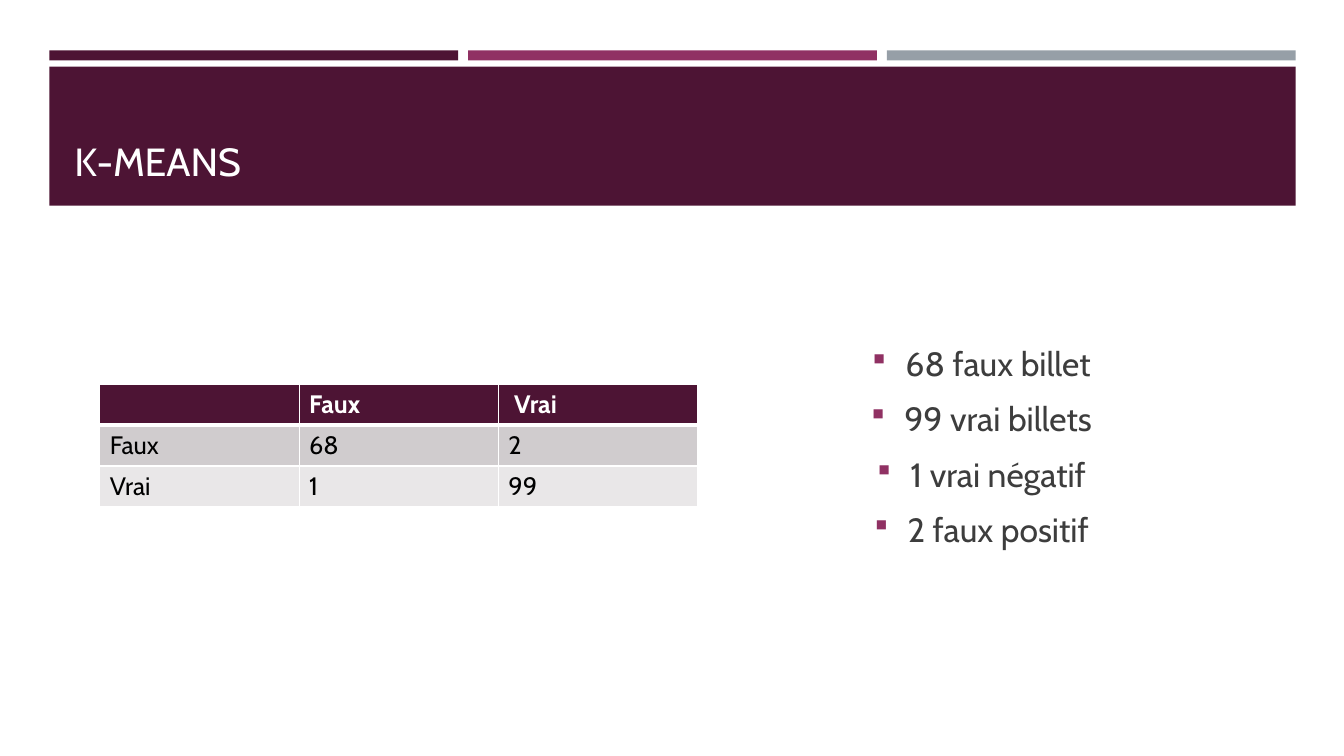
from lxml.etree import SubElement
from pptx import Presentation
from pptx.dml.color import RGBColor
from pptx.enum.shapes import MSO_SHAPE as Shape
from pptx.enum.text import MSO_ANCHOR as Anchor, PP_ALIGN as Align
from pptx.oxml.ns import qn
from pptx.util import Inches, Pt

PLUM = RGBColor(0x4D, 0x14, 0x34)
MAGENTA = RGBColor(0x90, 0x31, 0x63)
SLATE = RGBColor(0x96, 0x9F, 0xA7)
WHITE = RGBColor(0xFF, 0xFF, 0xFF)
BLACK = RGBColor(0, 0, 0)
CHARCOAL = RGBColor(0x3D, 0x3D, 0x3D)
ROW_FILLS = [PLUM, RGBColor(0xD0, 0xCC, 0xCE), RGBColor(0xE9, 0xE7, 0xE8)]
FONT = "Cabin"

CONFUSION = [["", "Faux", " Vrai"], ["Faux", "68", "2"], ["Vrai", "1", "99"]]
FINDINGS = ["68 faux billet", "99 vrai billets", "1 vrai négatif", "2 faux positif"]


def add_span(para, text, size, color, bold=False):
    span = para.add_run()
    span.text = text
    span.font.name = FONT
    span.font.size = Pt(size)
    span.font.bold = bold
    span.font.color.rgb = color


def add_bar(page, left, top, width, height, color):
    bar = page.shapes.add_shape(
        Shape.RECTANGLE, Inches(left), Inches(top), Inches(width), Inches(height))
    bar.shadow.inherit = False
    bar.fill.solid()
    bar.fill.fore_color.rgb = color
    bar.line.fill.background()


def add_text_box(page, left, top, width, height, anchor):
    box = page.shapes.add_textbox(
        Inches(left), Inches(top), Inches(width), Inches(height))
    frame = box.text_frame
    frame.word_wrap = True
    frame.vertical_anchor = anchor
    return frame


def add_header(page, left, top, width, height, title):
    gap, strip_height, band_top = 0.1, 0.1, 0.16
    strip_width = (width - 2 * gap) / 3
    for index, color in enumerate([PLUM, MAGENTA, SLATE]):
        add_bar(page, left + index * (strip_width + gap), top,
                strip_width, strip_height, color)
    add_bar(page, left, top + band_top, width, height - band_top, PLUM)
    frame = add_text_box(page, left + 0.15, top + 0.3, width - 0.3, 1.08, Anchor.BOTTOM)
    add_span(frame.paragraphs[0], title, 28, WHITE)


def set_borders(cell, top_width, bottom_width):
    properties = cell._tc.get_or_add_tcPr()
    sides = [("a:lnL", 1), ("a:lnR", 1), ("a:lnT", top_width), ("a:lnB", bottom_width)]
    for position, (side, width) in enumerate(sides):
        line = properties.makeelement(qn(side), {"w": str(Pt(width))})
        fill = SubElement(line, qn("a:solidFill"))
        SubElement(fill, qn("a:srgbClr"), val=str(WHITE))
        properties.insert(position, line)


def add_confusion_table(page, left, top, width, height, values):
    table = page.shapes.add_table(
        len(values), len(values[0]),
        Inches(left), Inches(top), Inches(width), Inches(height)).table
    for row_index, row in enumerate(values):
        header = row_index == 0
        for column_index, text in enumerate(row):
            cell = table.cell(row_index, column_index)
            cell.fill.solid()
            cell.fill.fore_color.rgb = ROW_FILLS[row_index]
            set_borders(cell, 3 if row_index == 1 else 1, 3 if header else 1)
            if text:
                add_span(cell.text_frame.paragraphs[0], text, 18,
                         WHITE if header else BLACK, header)


def set_bullet(para):
    properties = para._p.get_or_add_pPr()
    properties.set("marL", str(Inches(0.33)))
    properties.set("indent", str(Inches(-0.33)))
    color = SubElement(properties, qn("a:buClr"))
    SubElement(color, qn("a:srgbClr"), val=str(MAGENTA))
    SubElement(properties, qn("a:buSzPct"), val="92000")
    SubElement(properties, qn("a:buFont"), typeface="Wingdings")
    SubElement(properties, qn("a:buChar"), char="§")


def add_findings(page, left, top, width, height, findings):
    frame = add_text_box(page, left, top, width, height, Anchor.MIDDLE)
    for index, text in enumerate(findings):
        para = frame.add_paragraph() if index else frame.paragraphs[0]
        para.alignment = Align.CENTER
        para.space_before = Pt(4.8)
        para.space_after = Pt(6)
        set_bullet(para)
        add_span(para, text, 24, CHARCOAL)


def main():
    deck = Presentation()
    deck.slide_width = Inches(13.33)
    deck.slide_height = Inches(7.5)
    page = deck.slides.add_slide(deck.slide_layouts[6])
    add_header(page, 0.49, 0.5, 12.36, 1.54, "K-MEANS")
    add_confusion_table(page, 0.99, 3.81, 5.93, 1.22, CONFUSION)
    add_findings(page, 6.77, 2.44, 5.93, 3.97, FINDINGS)
    deck.save("out.pptx")


if __name__ == "__main__":
    main()
